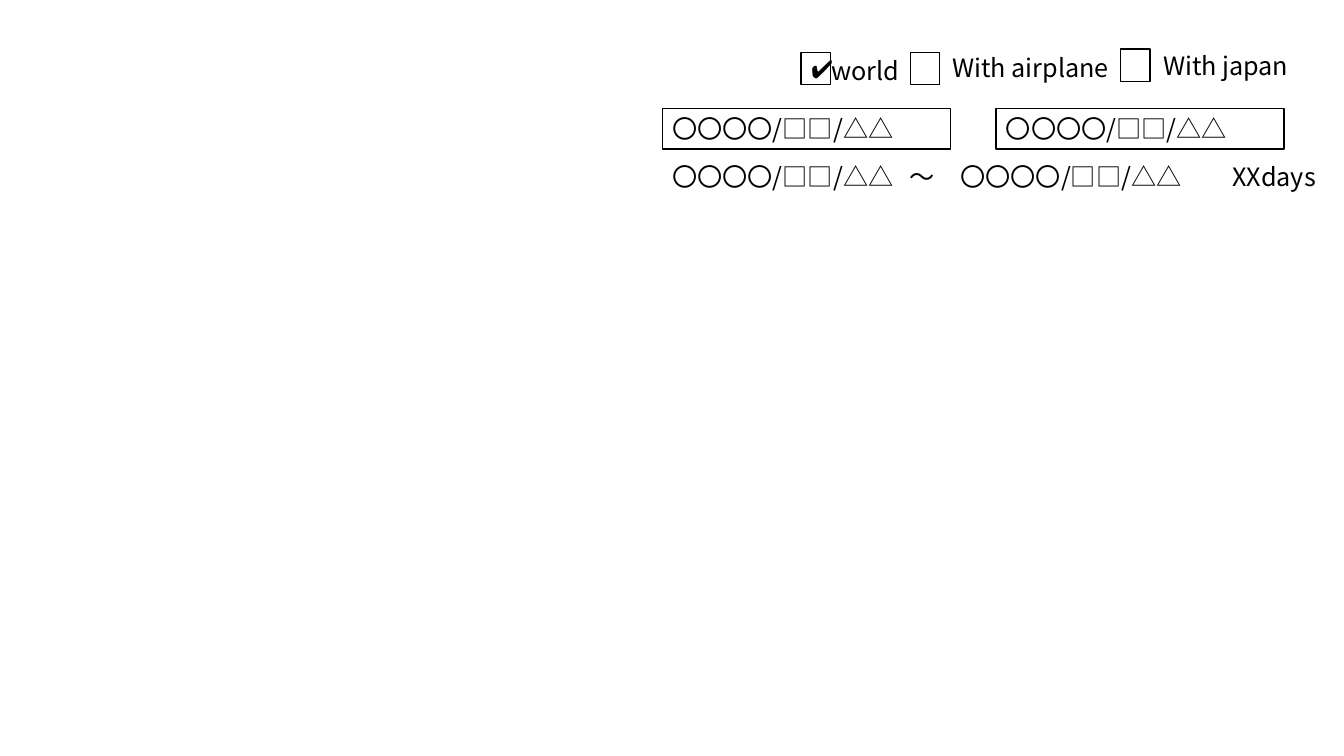
from dataclasses import dataclass

from pptx import Presentation
from pptx.dml.color import RGBColor
from pptx.enum.shapes import MSO_SHAPE
from pptx.enum.text import MSO_ANCHOR, MSO_AUTO_SIZE, PP_ALIGN
from pptx.oxml.ns import qn
from pptx.shapes.autoshape import Shape
from pptx.shapes.shapetree import GroupShapes, SlideShapes
from pptx.util import Cm, Pt

BLACK = RGBColor(0x00, 0x00, 0x00)
WHITE = RGBColor(0xFF, 0xFF, 0xFF)
FONT = "Noto Sans CJK JP"
DATE = "〇〇〇〇/□□/△△"
DATE_WIDTH = 7.26
ROW_HEIGHT = 1.02
FIELD_TOP = 2.74
PERIOD_TOP = 3.94
CHECKBOX_WIDTH, CHECKBOX_HEIGHT = 0.74, 0.81


@dataclass(frozen=True)
class Option:
    label: str
    box_left: float
    box_top: float
    label_left: float
    label_top: float
    label_width: float
    mark: str = ""


@dataclass(frozen=True)
class PeriodPart:
    text: str
    left: float
    width: float


OPTIONS = (
    Option("world", 20.19, 1.32, 20.7, 1.27, 3.23, mark="✔"),
    Option("With airplane", 22.94, 1.32, 23.75, 1.19, 4.52),
    Option("With japan", 28.24, 1.24, 29.06, 1.14, 4.52),
)
PERIOD_PARTS = (
    PeriodPart(DATE, 16.69, DATE_WIDTH),
    PeriodPart("～", 22.66, 1.27),
    PeriodPart(DATE, 23.95, DATE_WIDTH),
    PeriodPart("XXdays", 30.81, 4.01),
)
FIELD_LEFTS = (16.69, 25.1)


def write_text(shape: Shape, text: str, *, align: PP_ALIGN = PP_ALIGN.LEFT,
               anchor: MSO_ANCHOR = MSO_ANCHOR.TOP, grow: bool = True) -> None:
    frame = shape.text_frame
    frame.word_wrap = True
    frame.vertical_anchor = anchor
    frame.auto_size = MSO_AUTO_SIZE.SHAPE_TO_FIT_TEXT if grow else MSO_AUTO_SIZE.NONE
    paragraph = frame.paragraphs[0]
    paragraph.alignment = align
    run = paragraph.add_run()
    run.text = text
    run.font.size = Pt(18)
    run.font.color.rgb = BLACK
    run.font.name = FONT
    east_asian = run.font._element.makeelement(qn("a:ea"), {"typeface": FONT})
    run.font._element.find(qn("a:latin")).addnext(east_asian)


def add_label(shapes: SlideShapes | GroupShapes, text: str,
              left: float, top: float, width: float) -> None:
    label = shapes.add_textbox(Cm(left), Cm(top), Cm(width), Cm(ROW_HEIGHT))
    write_text(label, text)


def add_box(shapes: SlideShapes, left: float, top: float,
            width: float, height: float) -> Shape:
    box = shapes.add_shape(MSO_SHAPE.RECTANGLE, Cm(left), Cm(top), Cm(width), Cm(height))
    box.shadow.inherit = False
    box.fill.solid()
    box.fill.fore_color.rgb = WHITE
    box.line.color.rgb = BLACK
    box.line.width = Pt(1)
    return box


def add_option(shapes: SlideShapes, option: Option) -> None:
    checkbox = add_box(shapes, option.box_left, option.box_top,
                       CHECKBOX_WIDTH, CHECKBOX_HEIGHT)
    if option.mark:
        write_text(checkbox, option.mark, align=PP_ALIGN.CENTER,
                   anchor=MSO_ANCHOR.MIDDLE, grow=False)
    add_label(shapes, option.label, option.label_left, option.label_top,
              option.label_width)


def main() -> None:
    presentation = Presentation()
    presentation.slide_width = Cm(33.87)
    presentation.slide_height = Cm(19.05)
    slide = presentation.slides.add_slide(presentation.slide_layouts[6])

    for option in OPTIONS:
        add_option(slide.shapes, option)

    period = slide.shapes.add_group_shape()
    for part in PERIOD_PARTS:
        add_label(period.shapes, part.text, part.left, PERIOD_TOP, part.width)

    for left in FIELD_LEFTS:
        field = add_box(slide.shapes, left, FIELD_TOP, DATE_WIDTH, ROW_HEIGHT)
        write_text(field, DATE)

    presentation.save("out.pptx")


if __name__ == "__main__":
    main()
